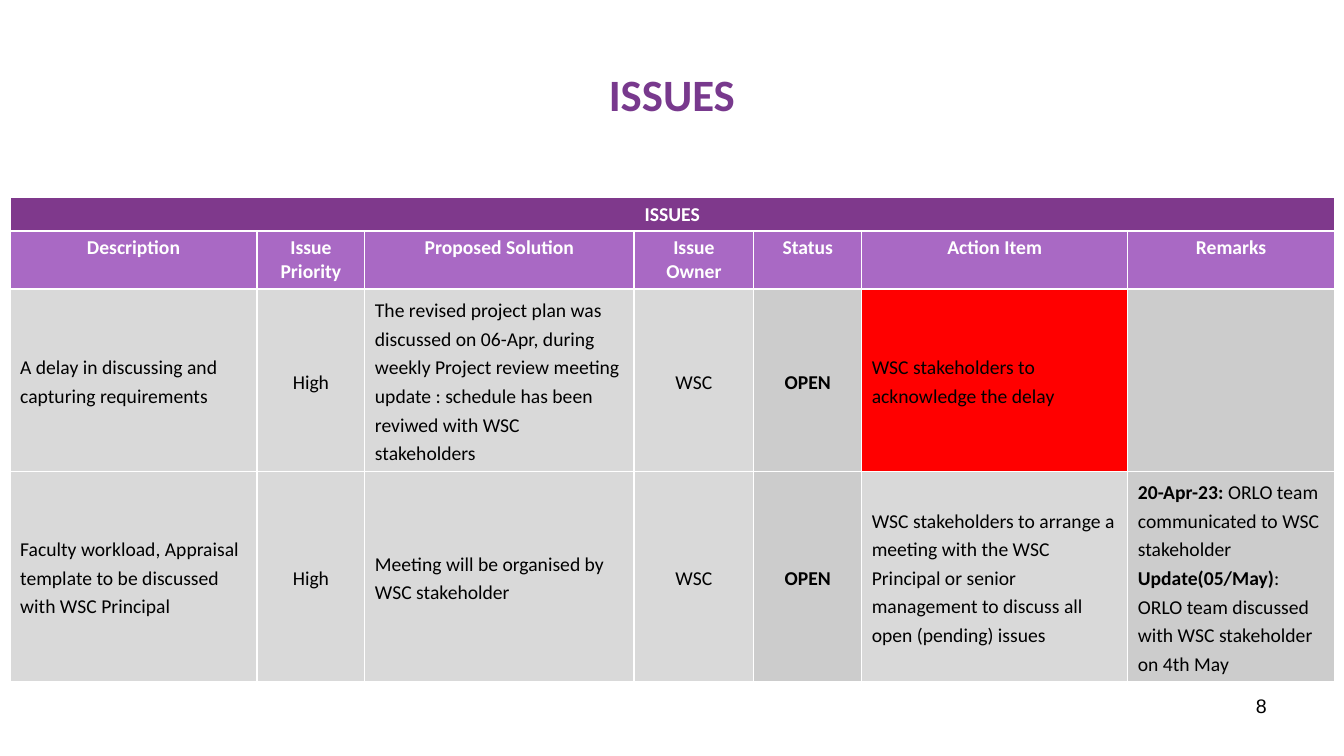
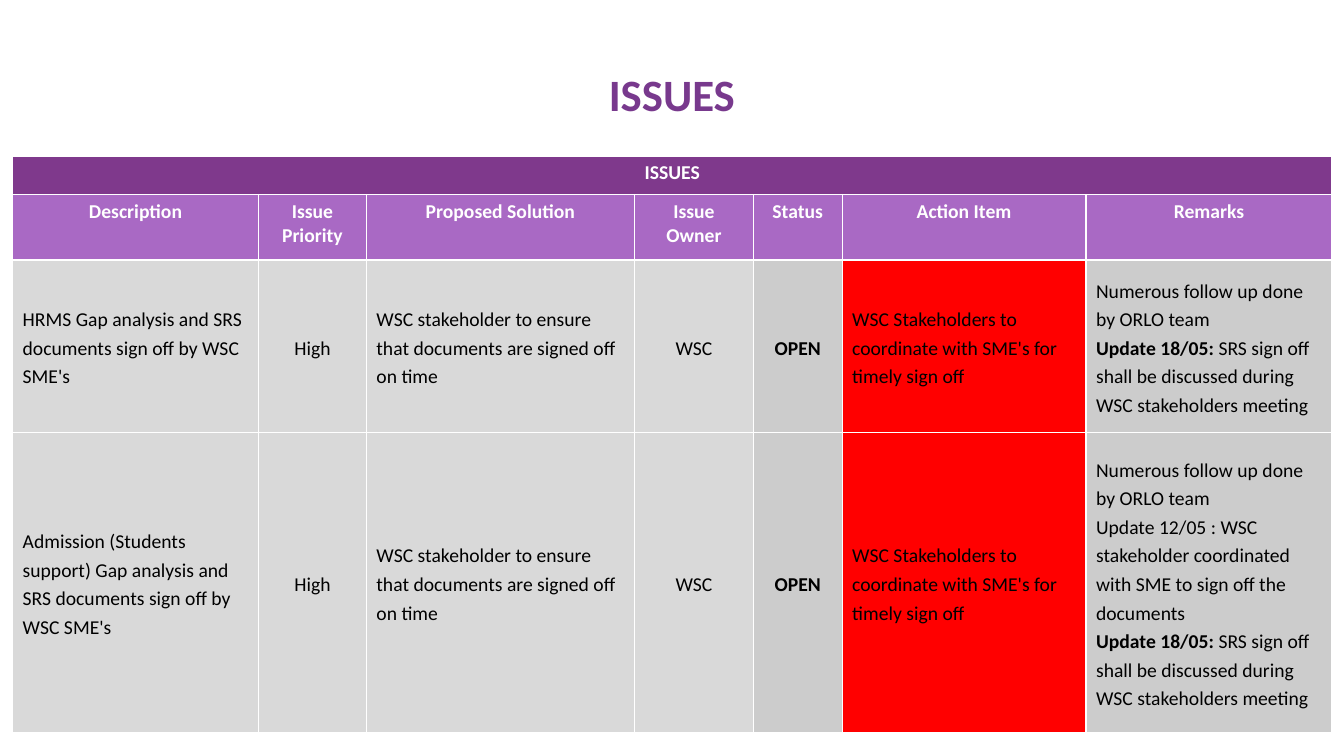
from dataclasses import dataclass

from lxml.etree import SubElement
from pptx import Presentation
from pptx.dml.color import RGBColor
from pptx.enum.text import MSO_ANCHOR, PP_ALIGN
from pptx.oxml.ns import qn
from pptx.util import Inches, Pt

GRID_COLS, GRID_ROWS = 160, 90
UNIT = Inches(1) / 12

WHITE, BLACK, RED = "FFFFFF", "000000", "FF0000"
TITLE, BANNER, HEADER = "78398D", "7F398C", "A969C4"
LIGHT, DARK = "D9D9D9", "CCCCCC"

HEADINGS = ["Description", "Issue Priority", "Proposed Solution",
            "Issue Owner", "Status", "Action Item", "Remarks"]
CENTRED = {"Issue Priority", "Issue Owner", "Status"}
SHADED = {"Status", "Remarks"}


def rgb(value):
    return RGBColor.from_string(value)


def grid(*lengths):
    """Turn grid columns or rows into EMU."""
    return [round(length * UNIT) for length in lengths]


@dataclass
class Issue:
    description: str
    solution: str
    action: str
    remarks: str = ""
    urgent: bool = True
    priority: str = "High"
    owner: str = "WSC"
    status: str = "**OPEN**"

    def texts(self):
        return [self.description, self.priority, self.solution, self.owner,
                self.status, self.action, self.remarks]


class Deck:
    def __init__(self):
        self.prs = Presentation()
        self.prs.slide_width, self.prs.slide_height = grid(GRID_COLS, GRID_ROWS)
        self.s = None

    def slide(self):
        self.s = self.prs.slides.add_slide(self.prs.slide_layouts[6])

    def set_text(self, tf, text, size=14, color=BLACK, bold=False,
                 align=PP_ALIGN.LEFT, spacing=None, font="Calibri"):
        """Fill a frame, one paragraph a line; ** switches bold on and off."""
        tf.word_wrap = True
        tf.text = text.replace("**", "")
        for p, line in zip(tf.paragraphs, text.split("\n")):
            p.alignment = align
            if spacing:
                p.line_spacing = spacing
            p.text = ""
            for i, part in enumerate(line.split("**")):
                if part:
                    r = p.add_run()
                    r.text = part
                    r.font.name, r.font.size = font, Pt(size)
                    r.font.bold = bold or i % 2 == 1
                    r.font.color.rgb = rgb(color)

    def title(self, text):
        tf = self.s.shapes.add_textbox(*grid(8, 3.6, 144, 15)).text_frame
        tf.vertical_anchor = MSO_ANCHOR.MIDDLE
        self.set_text(tf, text, 32, TITLE, True, PP_ALIGN.CENTER)

    def page_number(self, number):
        tf = self.s.shapes.add_textbox(*grid(114.7, 82, 37.3, 6.2)).text_frame
        self.set_text(tf, str(number), align=PP_ALIGN.RIGHT, font="Arial")

    def cell(self, cell, text, fill, anchor=MSO_ANCHOR.MIDDLE, **style):
        tc_pr = cell._tc.get_or_add_tcPr()
        for side in ("a:lnL", "a:lnR", "a:lnT", "a:lnB"):
            ln = SubElement(tc_pr, qn(side), w=str(Pt(1)))
            SubElement(SubElement(ln, qn("a:solidFill")), qn("a:srgbClr"), val=WHITE)
        cell.fill.solid()
        cell.fill.fore_color.rgb = rgb(fill)
        cell.vertical_anchor = anchor
        self.set_text(cell.text_frame, text, **style)

    def issue_table(self, left, top, widths, heights, issues):
        box = grid(left, top, sum(widths), sum(heights))
        table = self.s.shapes.add_table(len(heights), len(widths), *box).table
        for column, width in zip(table.columns, grid(*widths)):
            column.width = width
        for row, height in zip(table.rows, grid(*heights)):
            row.height = height

        head = dict(anchor=MSO_ANCHOR.TOP, color=WHITE, bold=True,
                    align=PP_ALIGN.CENTER)
        for c, heading in enumerate(HEADINGS):
            self.cell(table.cell(0, c), "" if c else "ISSUES", BANNER, **head)
            self.cell(table.cell(1, c), heading, HEADER, **head)
        table.cell(0, 0).merge(table.cell(0, len(widths) - 1))

        for row, issue in enumerate(issues, start=2):
            for c, (heading, text) in enumerate(zip(HEADINGS, issue.texts())):
                fill = DARK if heading in SHADED else LIGHT
                if heading == "Action Item" and issue.urgent:
                    fill = RED
                align = PP_ALIGN.CENTER if heading in CENTRED else PP_ALIGN.LEFT
                self.cell(table.cell(row, c), text, fill, align=align, spacing=1.2)


def main():
    deck = Deck()

    deck.slide()
    deck.title("ISSUES")
    deck.page_number(8)
    deck.issue_table(
        1.2, 23.5, [29.4, 12.84, 32.04, 14.28, 12.84, 31.68, 24.6],
        [3.96, 6.9, 21.7, 25],
        [Issue("A delay in discussing and capturing requirements",
               "The revised project plan was discussed on 06-Apr, during weekly "
               "Project review meeting\n"
               "update : schedule has been reviwed with WSC stakeholders",
               "WSC stakeholders to acknowledge the delay"),
         Issue("Faculty workload, Appraisal template to be discussed with WSC Principal",
               "Meeting will be organised by WSC stakeholder",
               "WSC stakeholders to arrange a meeting with the WSC Principal or "
               "senior management to discuss all open (pending) issues",
               "**20-Apr-23:** ORLO team communicated to WSC stakeholder\n"
               "**Update(05/May)**: ORLO team discussed with WSC stakeholder on 4th May",
               urgent=False)])

    follow_up = "Numerous follow up done by ORLO team\n"
    discussion = ("**Update 18/05:** SRS sign off shall be discussed during "
                  "WSC stakeholders meeting")
    sign_off = ("WSC stakeholder to ensure that documents are signed off on time",
                "WSC Stakeholders to coordinate with SME's for timely sign off")
    deck.slide()
    deck.title("ISSUES")
    deck.issue_table(
        1.5, 18.6, [29.28, 12.84, 31.92, 14.16, 10.56, 29.04, 29.28],
        [4.56, 7.8, 20.5, 35.76],
        [Issue("HRMS Gap analysis and SRS documents sign off by WSC SME's",
               *sign_off, follow_up + discussion),
         Issue("Admission (Students support) Gap analysis and SRS documents "
               "sign off by WSC SME's",
               *sign_off,
               follow_up + "Update 12/05 : WSC stakeholder coordinated with SME "
               "to sign off the documents\n" + discussion)])

    deck.prs.save("out.pptx")


if __name__ == "__main__":
    main()
